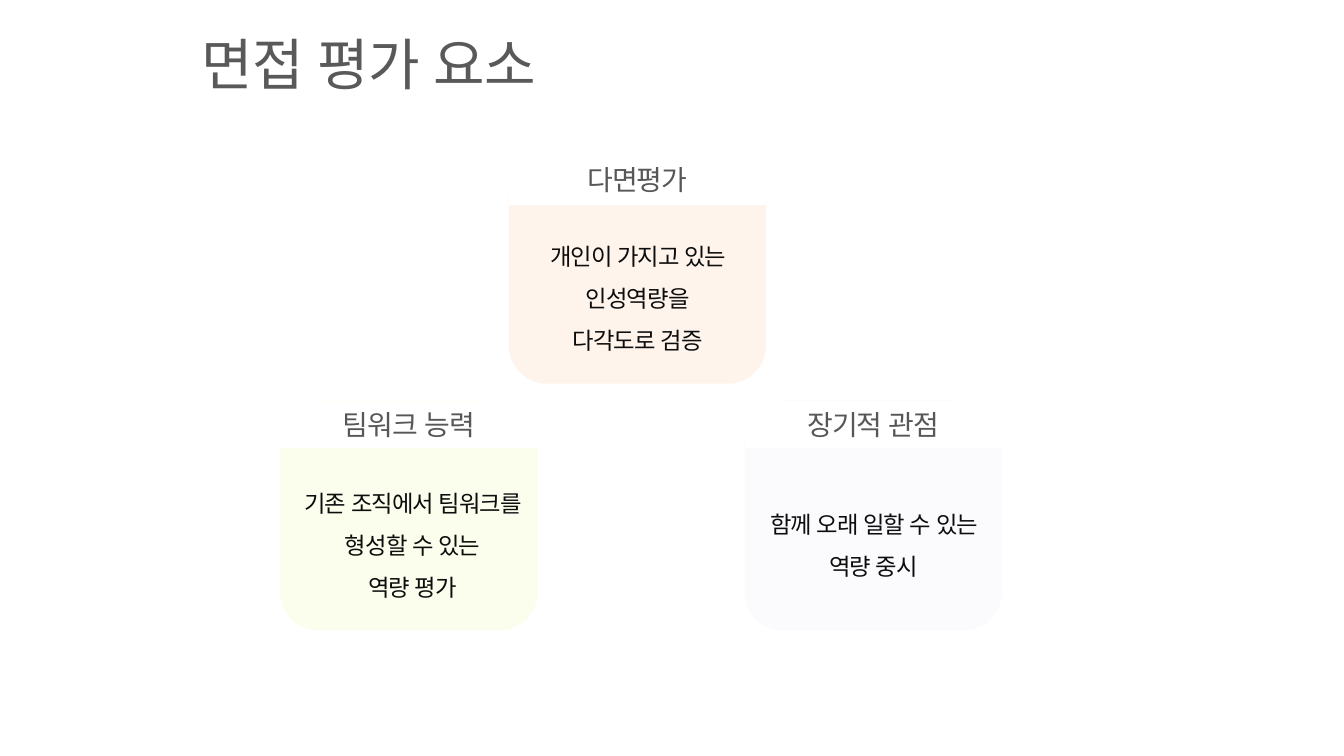
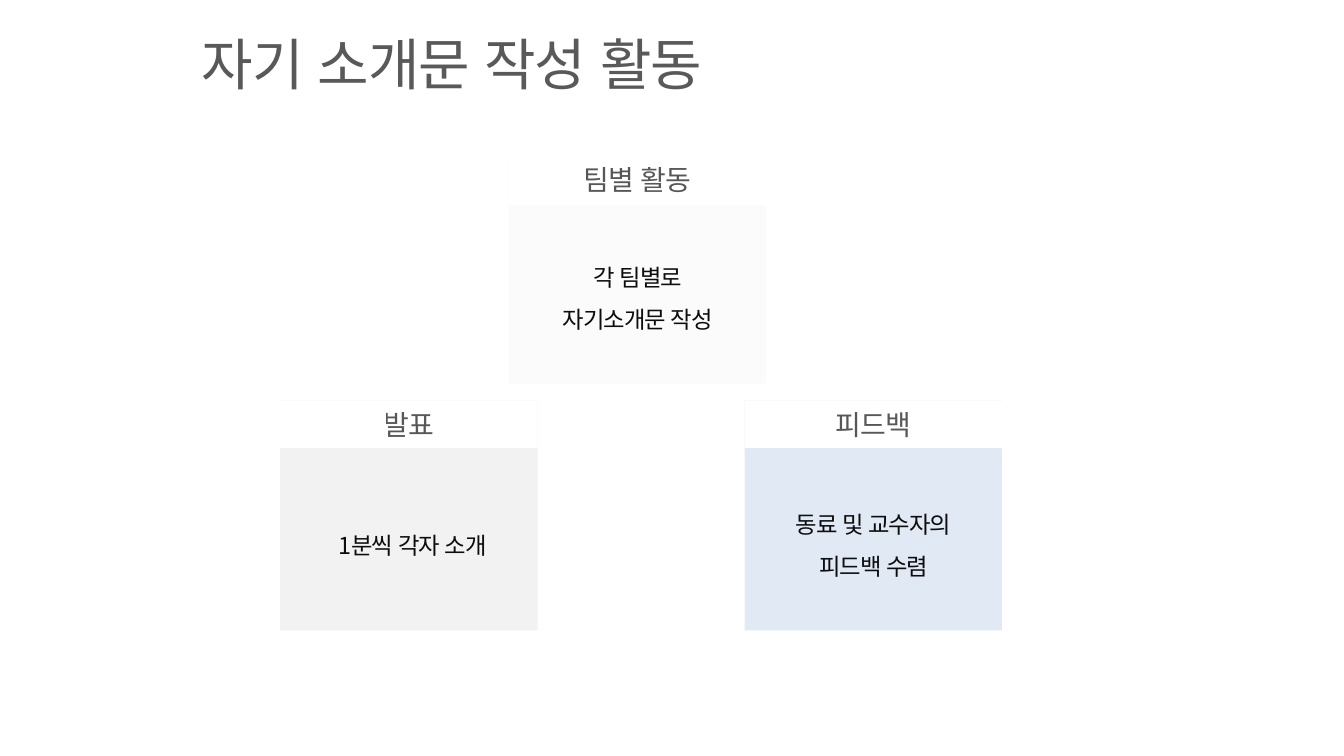
from dataclasses import dataclass

from lxml.etree import SubElement
from pptx import Presentation
from pptx.dml.color import RGBColor
from pptx.enum.lang import MSO_LANGUAGE_ID
from pptx.enum.shapes import MSO_SHAPE
from pptx.enum.text import MSO_ANCHOR, MSO_AUTO_SIZE, PP_ALIGN
from pptx.oxml.ns import qn
from pptx.util import Pt

PX = 9144  # EMU in one px, 100 px to the inch


@dataclass(frozen=True)
class Theme:
    font: str = "Noto Sans CJK KR"
    white: str = "FFFFFF"
    title: str = "595959"
    head: str = "000000"
    body: str = "0D0D0D"
    peach: str = "FEF4EC"
    lime: str = "FBFEEC"
    lilac: str = "FBFAFC"
    pale: str = "FBFBFB"
    grey: str = "F2F2F2"
    blue: str = "E0E9F4"
    title_size: int = 60
    head_size: int = 30
    body_size: int = 25


THEME = Theme()
CARD_W, CARD_H = 383, 342
BODY_W, BODY_H, BODY_DROP = 356, 126, 142
# left, top, head height, body inset
SPOTS = [(757, 229, 76, 14), (417, 596, 71, 19), (1108, 596, 71, 14)]

SLIDES = [
    ("면접 평가 요소", MSO_SHAPE.ROUNDED_RECTANGLE, [
        ("다면평가", ["개인이 가지고 있는 인성역량을", "다각도로 검증"], THEME.peach),
        ("팀워크 능력", ["기존 조직에서 팀워크를 형성할 수 있는", "역량 평가"], THEME.lime),
        ("장기적 관점", ["함께 오래 일할 수 있는 역량 중시"], THEME.lilac),
    ]),
    ("자기 소개문 작성 활동", MSO_SHAPE.RECTANGLE, [
        ("팀별 활동", ["각 팀별로", "자기소개문 작성"], THEME.pale),
        ("발표", ["1분씩 각자 소개"], THEME.grey),
        ("피드백", ["동료 및 교수자의", "피드백 수렴"], THEME.blue),
    ]),
]


def rgb(code):
    return RGBColor.from_string(code)


def px(*lengths):
    return [length * PX for length in lengths]


def write(shape, lines, size, color, align=PP_ALIGN.CENTER, spacing=1.0, alpha=None):
    """Fill the shape with one paragraph a line; alpha is a percentage."""
    frame = shape.text_frame
    frame.word_wrap = True
    frame.auto_size = MSO_AUTO_SIZE.NONE
    frame.vertical_anchor = MSO_ANCHOR.MIDDLE
    frame.margin_left = frame.margin_right = 0
    frame.margin_top = frame.margin_bottom = 0
    for i, line in enumerate(lines):
        para = frame.add_paragraph() if i else frame.paragraphs[0]
        para.alignment, para.line_spacing = align, spacing
        para.space_before = Pt(0)
        run = para.add_run()
        run.text = line
        font = run.font
        font.size, font.name = Pt(size), THEME.font
        font.language_id = MSO_LANGUAGE_ID.KOREAN
        font.color.rgb = rgb(color)
        props = run._r.get_or_add_rPr()
        props.set("spc", "-100")
        SubElement(props, qn("a:ea")).set("typeface", THEME.font)
        if alpha:
            tint = props.find(qn("a:solidFill"))[0]
            SubElement(tint, qn("a:alpha")).set("val", str(alpha * 1000))


class Deck:
    def __init__(self, theme):
        self.theme = theme
        self.show = Presentation()
        self.show.slide_width, self.show.slide_height = px(2000, 1125)
        self.slide = None

    def start(self, title):
        self.slide = self.show.slides.add_slide(self.show.slide_layouts[5])
        fill = self.slide.background.fill
        fill.solid()
        fill.fore_color.rgb = rgb(self.theme.white)
        box = self.slide.shapes.title
        box.left, box.top, box.width, box.height = px(300, 35, 1008, 119)
        write(box, [title], self.theme.title_size, self.theme.title,
              align=PP_ALIGN.LEFT)

    def block(self, kind, area, color):
        shape = self.slide.shapes.add_shape(kind, *px(*area))
        shape.shadow.inherit = False
        shape.fill.solid()
        shape.fill.fore_color.rgb = rgb(color)
        shape.line.fill.background()
        return shape

    def card(self, kind, spot, head, body, color):
        """Draw a tinted block with a white head strip and a body text."""
        left, top, strip, inset = spot
        self.block(kind, (left, top, CARD_W, CARD_H), color)
        label = self.block(MSO_SHAPE.RECTANGLE, (left, top, CARD_W, strip),
                           self.theme.white)
        write(label, [head], self.theme.head_size, self.theme.head, alpha=66)
        box = self.slide.shapes.add_textbox(
            *px(left + inset, top + BODY_DROP, BODY_W, BODY_H))
        write(box, body, self.theme.body_size, self.theme.body, spacing=1.5)


def main():
    deck = Deck(THEME)
    for title, kind, cards in SLIDES:
        deck.start(title)
        for spot, card in zip(SPOTS, cards):
            deck.card(kind, spot, *card)
    deck.show.save("out.pptx")


if __name__ == "__main__":
    main()
